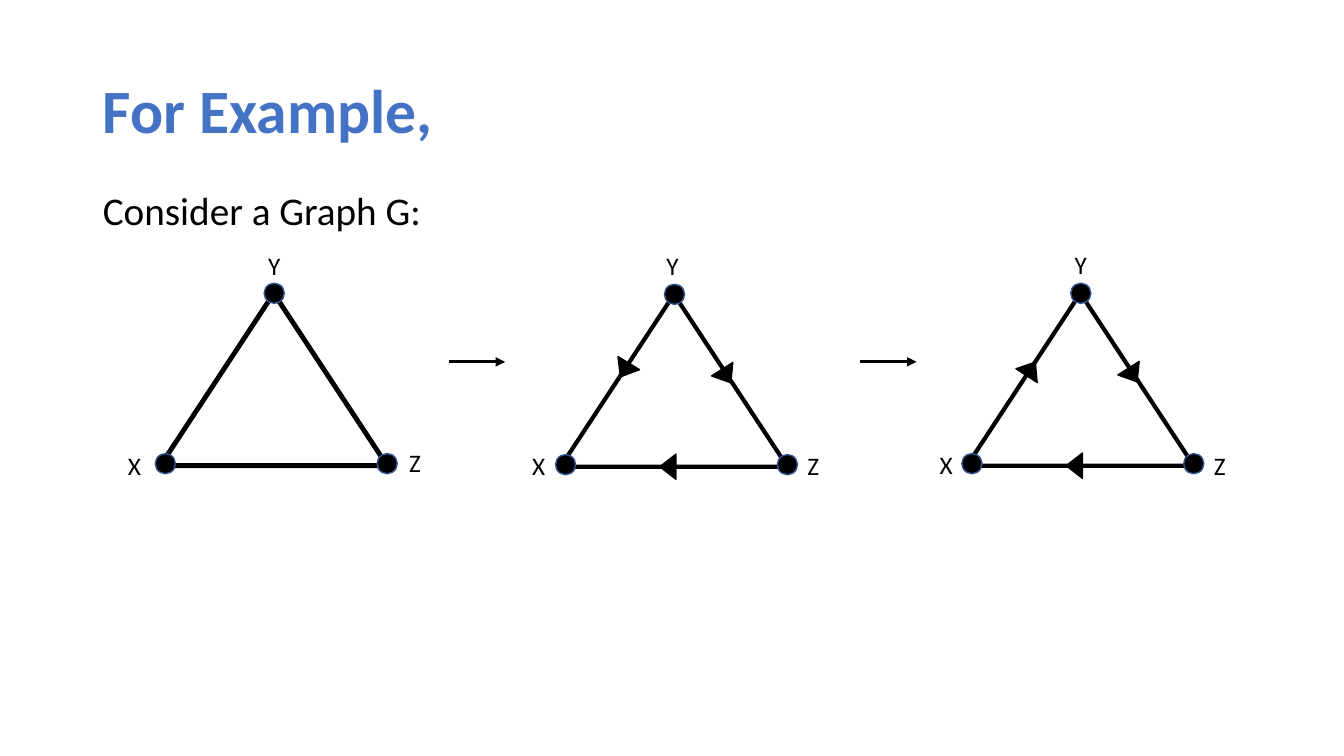
from lxml.etree import SubElement
from pptx import Presentation
from pptx.dml.color import RGBColor
from pptx.enum.shapes import MSO_CONNECTOR as CONNECTOR, MSO_SHAPE as SHAPE
from pptx.enum.text import MSO_ANCHOR as ANCHOR, MSO_AUTO_SIZE as AUTO_SIZE, PP_ALIGN as ALIGN
from pptx.oxml.ns import qn
from pptx.util import Inches, Pt

# Grid: one column or row is a tenth of an inch
CELL = Inches(0.1)

BLACK, BLUE, RIM = "000000", "4472C4", "325491"
TITLE_FORMAT = {"name": "Calibri", "size": Pt(44), "bold": True}
BODY_FORMAT = {"name": "Calibri", "size": Pt(28)}
LABEL_FORMAT = {"name": "Calibri", "size": Pt(18)}

# Triangle size, then offsets from its top-left corner
TRIANGLE_SIZE = (22.5, 17.1)
DOTS = {"X": (-0.5, 15.9), "Y": (10.3, -1), "Z": (21.5, 15.9)}
EDGES = {"XY": (5.1, 6.7), "YZ": (15.2, 7.3), "ZX": (9.4, 16.3)}

# Each graph: corner, label positions, arrowhead rotation per edge
GRAPHS = [
    ((15.9, 29.1), {"X": (11.7, 44.2), "Y": (25.6, 24.3), "Z": (39.6, 43.9)}, {}),
    ((55.6, 29.2), {"X": (51.8, 44.2), "Y": (65.1, 24.3), "Z": (79.1, 44.2)},
     {"XY": 211.4, "YZ": 147.7, "ZX": 270}),
    ((95.9, 29.1), {"X": (92.2, 44.1), "Y": (105.6, 24.2), "Z": (119.4, 44.2)},
     {"XY": 32.9, "YZ": 147.7, "ZX": 270}),
]
STEP_ARROWS = [44.5, 85.3]


def cells(*values):
    return [round(value * CELL) for value in values]


def color(hex_code):
    return RGBColor.from_string(hex_code)


class GraphSlide:
    def __init__(self, presentation):
        self.slide = presentation.slides.add_slide(presentation.slide_layouts[1])
        self.shapes = self.slide.shapes

    def add_text(self, shape, text, font_format, hex_code):
        paragraph = shape.text_frame.paragraphs[0]
        paragraph.alignment = ALIGN.LEFT
        run = paragraph.add_run()
        run.text = text
        for name, value in font_format.items():
            setattr(run.font, name, value)
        run.font.color.rgb = color(hex_code)
        return paragraph

    def placeholder(self, index, box, text, font_format, hex_code, anchor, before=0):
        shape = self.slide.placeholders[index]
        for name, value in zip(("left", "top", "width", "height"), cells(*box)):
            setattr(shape, name, value)
        shape.text_frame.auto_size = AUTO_SIZE.NONE
        shape.text_frame.vertical_anchor = anchor
        paragraph = self.add_text(shape, text, font_format, hex_code)
        paragraph.line_spacing = 0.9
        paragraph.space_before = Pt(before)
        properties = paragraph._p.get_or_add_pPr()
        properties.set("marL", "0")
        properties.set("indent", "0")
        SubElement(properties, qn("a:buNone"))

    def label(self, text, position):
        box = self.shapes.add_textbox(*cells(*position, 3.2, 4))
        box.text_frame.word_wrap = False
        box.text_frame.auto_size = AUTO_SIZE.SHAPE_TO_FIT_TEXT
        self.add_text(box, text, LABEL_FORMAT, BLACK)

    def figure(self, kind, position, size, fill=None, line=BLACK, weight=1, rotation=0):
        shape = self.shapes.add_shape(kind, *cells(*position, *size))
        shape.shadow.inherit = False
        shape.rotation = rotation
        if fill:
            shape.fill.solid()
            shape.fill.fore_color.rgb = color(fill)
        else:
            shape.fill.background()
        shape.line.color.rgb = color(line)
        shape.line.width = Pt(weight)

    def arrow(self, left, top, length):
        connector = self.shapes.add_connector(
            CONNECTOR.STRAIGHT, *cells(left, top, left + length, top))
        connector.line.color.rgb = color(BLACK)
        connector.line.width = Pt(2.25)
        properties = connector._element.spPr
        SubElement(properties.find(qn("a:ln")), qn("a:tailEnd"), type="triangle")
        SubElement(properties, qn("a:effectLst"))

    def graph(self, corner, labels, rotations):
        def at(offset):
            return corner[0] + offset[0], corner[1] + offset[1]

        # An undirected graph has slightly heavier edges
        weight = 3 if rotations else 3.5
        self.figure(SHAPE.ISOSCELES_TRIANGLE, corner, TRIANGLE_SIZE, weight=weight)
        for offset in DOTS.values():
            self.figure(SHAPE.OVAL, at(offset), (2, 2), BLACK, RIM)
        for edge, rotation in rotations.items():
            self.figure(SHAPE.ISOSCELES_TRIANGLE, at(EDGES[edge]), (2.5, 1.6),
                        BLACK, rotation=rotation)
        for text, position in labels.items():
            self.label(text, position)


def main():
    presentation = Presentation()
    presentation.slide_width, presentation.slide_height = Inches(13.33), Inches(7.5)
    page = GraphSlide(presentation)

    # Heading and lead-in
    page.placeholder(0, (9.2, 4, 115, 14.5), "For Example,", TITLE_FORMAT, BLUE, ANCHOR.MIDDLE)
    page.placeholder(1, (9.2, 18.5, 35.3, 6.6), "Consider a Graph G:", BODY_FORMAT, BLACK,
                     ANCHOR.TOP, before=10)

    # Three graphs with arrows between them
    for corner, labels, rotations in GRAPHS:
        page.graph(corner, labels, rotations)
    for left in STEP_ARROWS:
        page.arrow(left, 35.9, 5.6)

    presentation.save("out.pptx")


if __name__ == "__main__":
    main()
